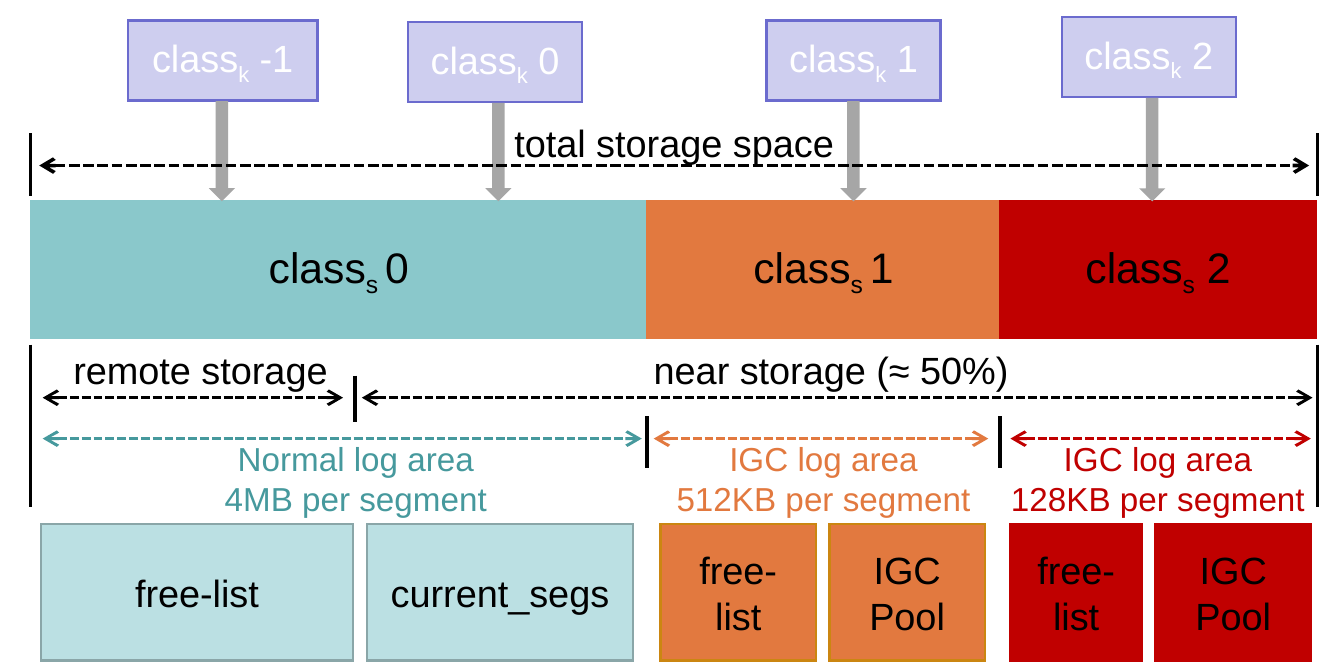
from collections import namedtuple

from lxml import etree
from pptx import Presentation
from pptx.dml.color import RGBColor
from pptx.enum.dml import MSO_LINE
from pptx.enum.shapes import MSO_CONNECTOR, MSO_SHAPE
from pptx.enum.text import MSO_ANCHOR, PP_ALIGN
from pptx.oxml.ns import qn
from pptx.util import Cm, Inches, Pt

RECTANGLE, DOWN_ARROW = MSO_SHAPE.RECTANGLE, MSO_SHAPE.DOWN_ARROW
STRAIGHT = MSO_CONNECTOR.STRAIGHT
DASH = MSO_LINE.SQUARE_DOT
CENTER, MIDDLE, TOP = PP_ALIGN.CENTER, MSO_ANCHOR.MIDDLE, MSO_ANCHOR.TOP

BLACK = RGBColor(0x00, 0x00, 0x00)
WHITE = RGBColor(0xFF, 0xFF, 0xFF)
GRAY = RGBColor(0xA6, 0xA6, 0xA6)
TEAL = RGBColor(0x8A, 0xC8, 0xCB)
DARK_TEAL = RGBColor(0x46, 0x99, 0x9D)
PALE_TEAL = RGBColor(0xBB, 0xE0, 0xE3)
TEAL_EDGE = RGBColor(0x8A, 0xA6, 0xA8)
ORANGE = RGBColor(0xE2, 0x79, 0x3F)
GOLD = RGBColor(0xCB, 0x86, 0x11)
RED = RGBColor(0xC0, 0x00, 0x00)
LILAC = RGBColor(0xCE, 0xCE, 0xEF)
VIOLET = RGBColor(0x6B, 0x6B, 0xCE)

Box = namedtuple("Box", "left top width height")
Area = namedtuple(
    "Area", "box label label_left label_width color arrow_insets pool_inset pools fill edge")


def set_format(target, values):
    """Set each attribute of the target from a dict."""
    for name, value in values.items():
        setattr(target, name, value)


def write_text(shape, lines, size, color, anchor=MIDDLE):
    """Write lines, each a list of (text, is subscript) pairs, centred."""
    frame = shape.text_frame
    set_format(frame, {"word_wrap": True, "vertical_anchor": anchor})
    for index, line in enumerate(lines):
        paragraph = frame.add_paragraph() if index else frame.paragraphs[0]
        paragraph.alignment = CENTER
        for text, is_subscript in line:
            run = paragraph.add_run()
            run.text = text
            set_format(run.font, {"name": "Arial", "size": Pt(size)})
            run.font.color.rgb = color
            if is_subscript:
                run.font._element.set("baseline", "-25000")


def add_block(slide, box, fill, edge, kind=RECTANGLE):
    """Add a filled preset shape with a thin, sharp-cornered edge."""
    shape = slide.shapes.add_shape(kind, *map(Inches, box))
    shape.shadow.inherit = False
    shape.fill.solid()
    shape.fill.fore_color.rgb = fill
    shape.line.color.rgb = edge
    shape.line.width = Pt(1)
    etree.SubElement(shape.line._get_or_add_ln(), qn("a:miter"), lim="800000")
    return shape


def add_label(slide, box, lines, size, color=BLACK):
    """Add a centred text box of plain lines."""
    label = slide.shapes.add_textbox(*map(Inches, box))
    write_text(label, [[(line, False)] for line in lines], size, color, TOP)


def add_line(slide, start, end, color=BLACK, width=1.5):
    """Add a straight line without shadow."""
    line = slide.shapes.add_connector(STRAIGHT, *map(Inches, (*start, *end)))
    line.line.color.rgb = color
    line.line.width = Pt(width)
    etree.SubElement(line._element.spPr, qn("a:effectLst"))
    return line


def add_tick(slide, x, top, bottom):
    """Add a vertical boundary mark."""
    add_line(slide, (x, top), (x, bottom))


def add_extent(slide, left, right, y, color=BLACK, width=1.25):
    """Add a dashed horizontal line with an arrowhead at both ends."""
    extent = add_line(slide, (left, y), (right, y), color, width)
    extent.line.dash_style = DASH
    outline = extent.line._get_or_add_ln()
    for end in ("a:headEnd", "a:tailEnd"):
        etree.SubElement(outline, qn(end), type="arrow")


def add_key_class(slide, box, number, arrow_x, arrow_bottom):
    """Add a key class box and the arrow below it."""
    block = add_block(slide, box, LILAC, VIOLET)
    write_text(block, [[("class", False), ("k", True), (f" {number}", False)]], 16, WHITE)
    top = box.top + box.height + 0.01
    arrow = Box(arrow_x, top, 0.12, arrow_bottom - top)
    add_block(slide, arrow, GRAY, GRAY, DOWN_ARROW)


def add_storage_bar(slide, box, segments):
    """Add the bar of storage classes, split by segment widths."""
    left = box.left
    for width, color, runs in segments:
        segment = add_block(slide, Box(left, box.top, width, box.height), color, color)
        write_text(segment, [runs], 18, BLACK)
        left += width


def add_extents(slide, box):
    """Add the total, remote and near storage extents around the bar."""
    right, bottom = box.left + box.width, box.top + box.height
    split = box.left + 1.9
    for x in (box.left, right):
        add_tick(slide, x, box.top - 0.4, box.top - 0.03)
        add_tick(slide, x, bottom + 0.04, bottom + 0.99)
    add_tick(slide, split, bottom + 0.22, bottom + 0.49)
    add_extent(slide, box.left + 0.05, right - 0.05, box.top - 0.21, width=1.5)
    add_extent(slide, box.left + 0.07, split - 0.07, bottom + 0.35)
    add_extent(slide, split + 0.04, right - 0.03, bottom + 0.35)
    add_label(slide, Box(box.left + 2.35, box.top - 0.53, 2.84, 0.37),
              ["total storage space"], 16)
    add_label(slide, Box(box.left + 0.1, bottom, 1.79, 0.37), ["remote storage"], 16)
    add_label(slide, Box(box.left + 3.52, bottom, 2.34, 0.37),
              ["near storage (≈ 50%)"], 16)


def add_log_area(slide, area):
    """Add one log area: its extent, label and pool boxes."""
    box = area.box
    left_inset, right_inset = area.arrow_insets
    add_extent(slide, box.left + left_inset, box.left + box.width - right_inset,
               box.top + 0.13, area.color)
    label_box = Box(box.left + area.label_left, box.top + 0.08, area.label_width, 0.57)
    add_label(slide, label_box, area.label, 14, area.color)
    left = box.left + area.pool_inset
    for name, width in area.pools:
        pool_box = Box(left, box.top + box.height - 0.8, width, 0.8)
        pool = add_block(slide, pool_box, area.fill, area.edge)
        write_text(pool, [[(name, False)]], 16, BLACK)
        left += width + 0.08


def add_storage_slide(presentation):
    """Add the storage layout slide."""
    slide = presentation.slides.add_slide(presentation.slide_layouts[6])
    bar = Box(0.18, 1.18, 7.54, 0.8)
    segments = [
        (3.61, TEAL, [("class", False), ("s ", True), ("0", False)]),
        (2.07, ORANGE, [("class", False), ("s ", True), ("1", False)]),
        (1.85, RED, [("class", False), ("s", True), (" 2", False)]),
    ]
    add_storage_bar(slide, bar, segments)
    areas = [
        Area(Box(0.18, 2.44, 3.61, 1.43), ["Normal log area", "4MB per segment"],
             0.61, 2.59, DARK_TEAL, (0.07, 0.03), 0.06,
             [("free-list", 1.83), ("current_segs", 1.56)], PALE_TEAL, TEAL_EDGE),
        Area(Box(3.79, 2.44, 2.07, 1.43), ["IGC log area", "512KB per segment"],
             0.03, 2.01, ORANGE, (0.04, 0.07), 0.08,
             [("free-list", 0.91), ("IGC Pool", 0.91)], ORANGE, GOLD),
        Area(Box(5.86, 2.44, 1.86, 1.43), ["IGC log area", "128KB per segment"],
             -0.09, 2.03, RED, (0.06, 0.04), 0.06,
             [("free-list", 0.77), ("IGC Pool", 0.91)], RED, RED),
    ]
    for area in areas:
        add_log_area(slide, area)
    for area in areas[1:]:
        add_tick(slide, area.box.left, area.box.top, area.box.top + 0.3)
    key_classes = [
        (Box(0.75, 0.12, 1.11, 0.47), -1, 1.24),
        (Box(2.39, 0.13, 1.02, 0.47), 0, 2.86),
        (Box(4.49, 0.12, 1.02, 0.47), 1, 4.94),
        (Box(6.22, 0.1, 1.02, 0.47), 2, 6.69),
    ]
    for box, number, arrow_x in key_classes:
        add_key_class(slide, box, number, arrow_x, bar.top - 0.01)
    add_extents(slide, bar)


def main():
    """Build and save the presentation."""
    presentation = Presentation()
    set_format(presentation, {"slide_width": Cm(20), "slide_height": Cm(10)})
    add_storage_slide(presentation)
    presentation.save("out.pptx")


main()
